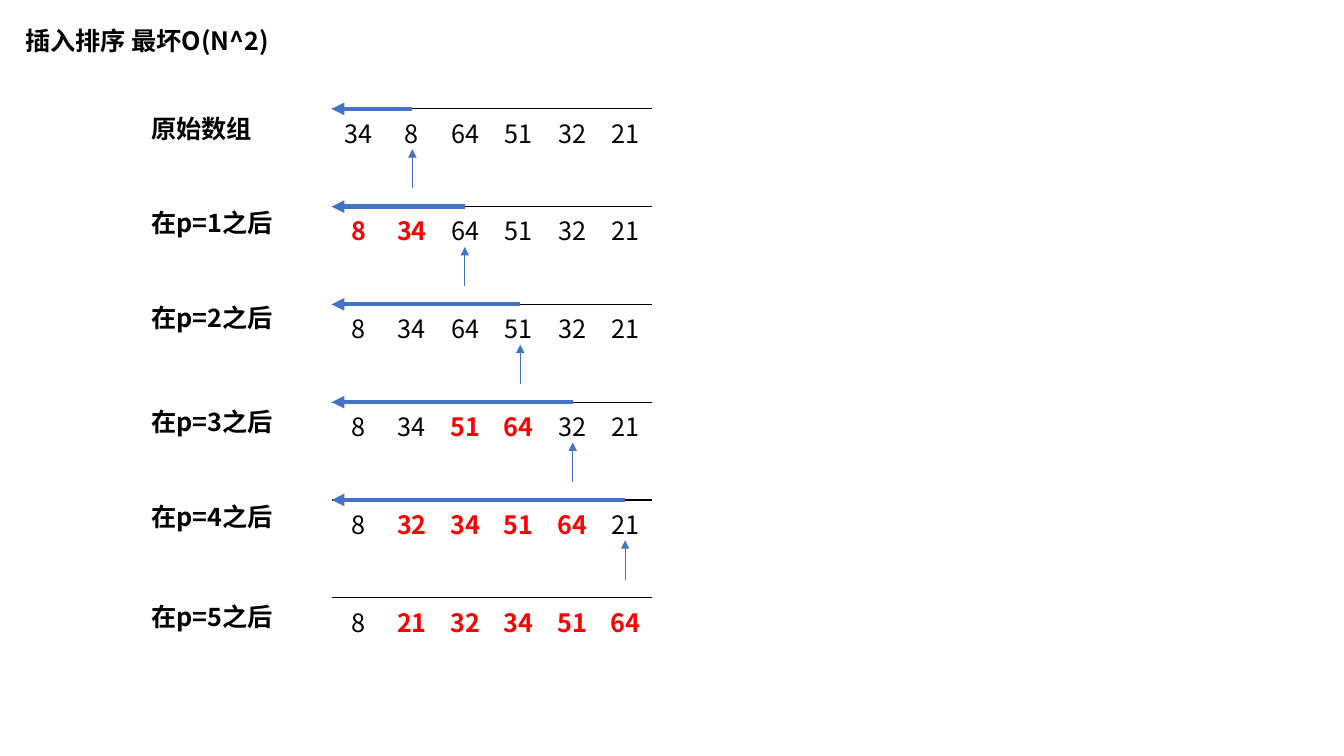
from lxml import etree
from pptx import Presentation
from pptx.dml.color import RGBColor
from pptx.enum.shapes import MSO_CONNECTOR
from pptx.enum.text import MSO_AUTO_SIZE, PP_ALIGN
from pptx.oxml.ns import qn
from pptx.util import Inches, Pt

STRAIGHT = MSO_CONNECTOR.STRAIGHT
FIT_SHAPE = MSO_AUTO_SIZE.SHAPE_TO_FIT_TEXT
CENTER = PP_ALIGN.CENTER

COLORS = {"text": "000000", "moved": "FF0000", "arrow": "4472C4"}
FONT = "Noto Sans CJK SC"

# Array geometry, in inches
LEFT, TOP, STEP = 3.29, 1.08, 0.97
CELL_W, ROW_H = 0.53, 0.41
LABEL_LEFT = 1.4

# Label, label top, values, moved positions, x of the next element
STAGES = [
    ("原始数组", 1.08, (34, 8, 64, 51, 32, 21), (), 4.09),
    ("在p=1之后", 2.01, (8, 34, 64, 51, 32, 21), (0, 1), 4.61),
    ("在p=2之后", 2.95, (8, 34, 64, 51, 32, 21), (), 5.16),
    ("在p=3之后", 3.98, (8, 34, 51, 64, 32, 21), (2, 3), 5.68),
    ("在p=4之后", 4.92, (8, 32, 34, 51, 64, 21), (1, 2, 3, 4), 6.2),
    ("在p=5之后", 5.92, (8, 21, 32, 34, 51, 64), (1, 2, 3, 4, 5), None),
]


def rgb(name):
    return RGBColor.from_string(COLORS[name])


def add_run(p, text, color="text", bold=False):
    r = p.add_run()
    r.text = text
    for key, value in {"name": FONT, "size": Pt(18), "bold": bold}.items():
        setattr(r.font, key, value)
    r.font.color.rgb = rgb(color)
    # East Asian typeface
    etree.SubElement(r.font._element, qn("a:ea"), typeface=FONT)


def add_label(s, text, left, top, width):
    sp = s.shapes.add_textbox(Inches(left), Inches(top), Inches(width), Inches(0.4))
    tf = sp.text_frame
    tf.word_wrap = True
    tf.auto_size = FIT_SHAPE
    add_run(tf.paragraphs[0], text, bold=True)


def set_borders(cell):
    """Draw only the top border of a cell."""
    tcPr = cell._tc.get_or_add_tcPr()
    for side in ("lnL", "lnR", "lnT", "lnB"):
        ln = etree.SubElement(tcPr, qn(f"a:{side}"), w=str(Pt(1)))
        if side == "lnT":
            fill = etree.SubElement(ln, qn("a:solidFill"))
            etree.SubElement(fill, qn("a:srgbClr"), val=COLORS["text"])
        else:
            etree.SubElement(ln, qn("a:noFill"))


def add_array(s, top, values, moved):
    frame = s.shapes.add_table(1, len(values), Inches(LEFT), Inches(top),
                               Inches(CELL_W * len(values)), Inches(ROW_H))
    table = frame.table
    table.first_row = table.horz_banding = False
    for i, value in enumerate(values):
        table.columns[i].width = Inches(CELL_W)
        cell = table.cell(0, i)
        set_borders(cell)
        cell.fill.background()
        p = cell.text_frame.paragraphs[0]
        p.alignment = CENTER
        add_run(p, str(value), "moved" if i in moved else "text", i in moved)


def add_arrow(s, x1, y1, x2, y2, width):
    line = s.shapes.add_connector(STRAIGHT, Inches(x1), Inches(y1),
                                  Inches(x2), Inches(y2))
    line.line.color.rgb = rgb("arrow")
    line.line.width = Pt(width)
    etree.SubElement(line.line._get_or_add_ln(), qn("a:tailEnd"), type="triangle")
    etree.SubElement(line._element.spPr, qn("a:effectLst"))


def main():
    prs = Presentation()
    prs.slide_width, prs.slide_height = Inches(13.33), Inches(7.5)
    s = prs.slides.add_slide(prs.slide_layouts[6])

    # Title
    add_label(s, "插入排序 最坏O(N^2)", 0.15, 0.2, 2.7)

    # One array per pass, with its label and arrows
    for i, (label, label_top, values, moved, next_x) in enumerate(STAGES):
        top = TOP + i * STEP
        add_array(s, top, values, moved)
        add_label(s, label, LABEL_LEFT, label_top, 1.57 if i else 1.25)
        if next_x:
            add_arrow(s, next_x, top + 0.79, next_x, top + 0.4, 0.5)
            add_arrow(s, next_x, top, LEFT, top, 3)

    prs.save("out.pptx")


if __name__ == "__main__":
    main()
